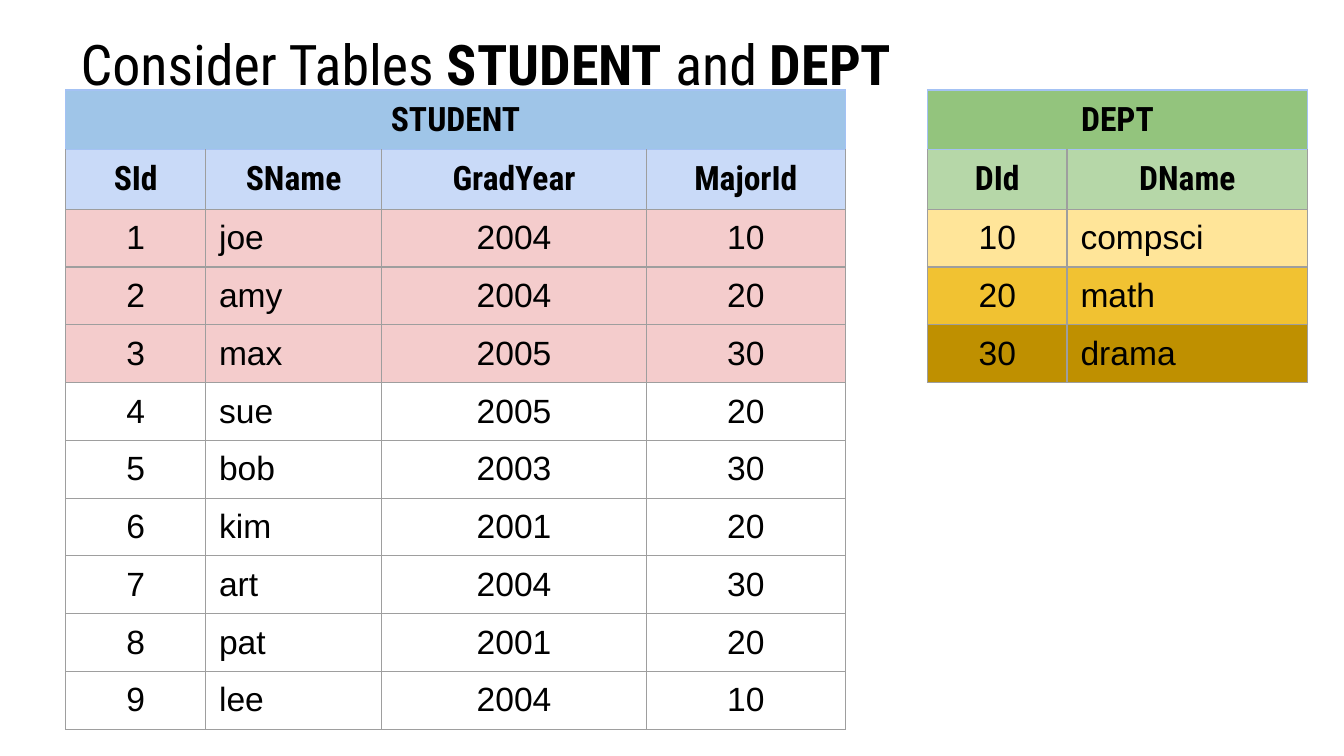
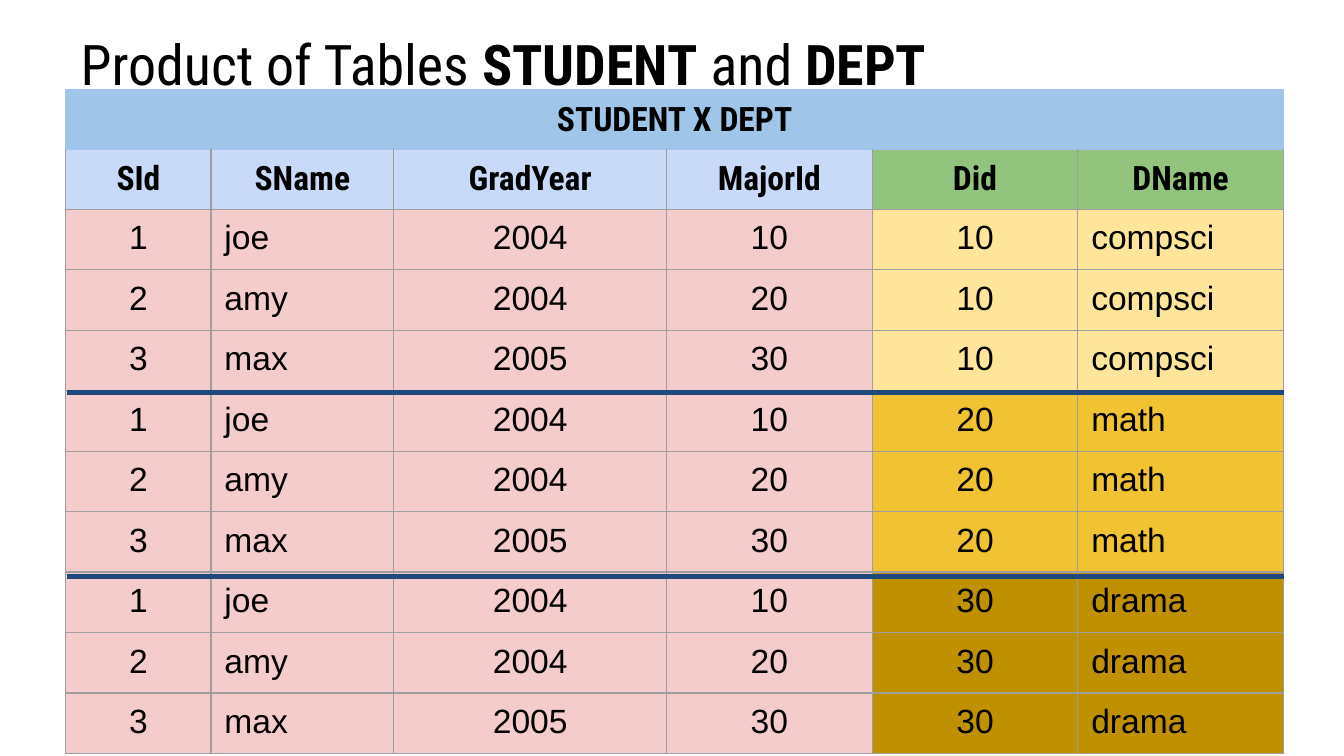
from lxml.etree import SubElement as Sub
from pptx import Presentation
from pptx.dml.color import RGBColor as RGB
from pptx.enum.shapes import MSO_CONNECTOR as Link
from pptx.enum.text import MSO_ANCHOR as Anchor, MSO_AUTO_SIZE as Fit, PP_ALIGN as Align
from pptx.oxml.ns import qn
from pptx.util import Inches, Pt

HEAD, BODY = "Roboto Condensed", "Arial"
BLACK, WHITE, GREY, NAVY = "000000", "FFFFFF", "9E9E9E", "1F497D"
BLUE, PALE, EDGE = "9FC5E8", "C9DAF8", "A4C2F4"
GREEN, MINT, PINK = "93C47D", "B6D7A8", "F4CCCC"
GOLDS = ["FFE599", "F1C232", "BF9000"]

FIELDS = ["SId", "SName", "GradYear", "MajorId"]
PEOPLE = [
    ("1", "joe", "2004", "10"),
    ("2", "amy", "2004", "20"),
    ("3", "max", "2005", "30"),
    ("4", "sue", "2005", "20"),
    ("5", "bob", "2003", "30"),
    ("6", "kim", "2001", "20"),
    ("7", "art", "2004", "30"),
    ("8", "pat", "2001", "20"),
    ("9", "lee", "2004", "10"),
]
DEPTS = [("10", "compsci"), ("20", "math"), ("30", "drama")]
FIRST = 3
LEFT, TOP, ROW = 0.49, 0.67, 0.31
PAD = Inches(0.15) // 2


def color(code):
    return RGB.from_string(code)


def add_run(para, text, size, face, bold=False):
    run = para.add_run()
    run.text = text
    font = run.font
    font.size, font.name, font.bold = Pt(size), face, bold
    font.color.rgb = color(BLACK)


def add_title(deck, lead):
    slide = deck.slides.add_slide(deck.slide_layouts[5])
    title = slide.shapes.title
    title.left, title.top = Inches(0.5), Inches(0.12)
    title.width, title.height = Inches(9.24), Inches(0.5)
    frame = title.text_frame
    frame.word_wrap, frame.auto_size = True, Fit.NONE
    frame.vertical_anchor = Anchor.TOP
    frame.margin_left = frame.margin_right = Inches(0.1)
    frame.margin_top = frame.margin_bottom = Inches(0.1)
    para = frame.paragraphs[0]
    para.alignment = Align.LEFT
    for text, bold in [(lead, False), ("STUDENT", True), (" and ", False), ("DEPT", True)]:
        add_run(para, text, 30, HEAD, bold)
    return slide


def add_edges(cell, side, top):
    props = cell._tc.get_or_add_tcPr()
    for tag, code in [("lnL", side), ("lnR", side), ("lnT", top), ("lnB", side)]:
        line = Sub(props, qn(f"a:{tag}"), w=str(Pt(0.75)))
        fill = Sub(line, qn("a:solidFill"))
        Sub(fill, qn("a:srgbClr"), val=code)


def style_cell(cell, tint, side, top):
    cell.margin_left = cell.margin_right = Inches(0.1)
    cell.margin_top = cell.margin_bottom = PAD
    add_edges(cell, side, top)
    cell.fill.solid()
    cell.fill.fore_color.rgb = color(tint)


def write_cell(cell, text, face, bold, align):
    para = cell.text_frame.paragraphs[0]
    para.alignment = align
    add_run(para, text, 18, face, bold)


def paint(words, tint):
    return [(word, tint) for word in words]


def add_grid(slide, left, widths, name, tint, heads, rows, height=ROW):
    lines = [heads] + rows
    table = slide.shapes.add_table(
        len(lines) + 1, len(widths), Inches(left), Inches(TOP),
        Inches(sum(widths)), Inches(2 * ROW + height * len(rows))).table
    table.first_row = table.horz_banding = False
    for col, width in zip(table.columns, widths):
        col.width = Inches(width)
    for num, row in enumerate(table.rows):
        row.height = Inches(ROW if num < 2 else height)
    for col in range(len(widths)):
        style_cell(table.cell(0, col), tint, EDGE, EDGE)
    table.cell(0, 0).merge(table.cell(0, len(widths) - 1))
    write_cell(table.cell(0, 0), name, HEAD, True, Align.CENTER)
    for num, line in enumerate(lines, 1):
        head = num == 1
        for col, (text, shade) in enumerate(line):
            cell = table.cell(num, col)
            style_cell(cell, shade, GREY, EDGE if head else GREY)
            align = Align.CENTER if head or text.isdigit() else Align.LEFT
            write_cell(cell, text, HEAD if head else BODY, head, align)


def add_rule(slide, y):
    rule = slide.shapes.add_connector(
        Link.STRAIGHT, Inches(0.5), Inches(y), Inches(9.55), Inches(y))
    rule.line.color.rgb = color(NAVY)
    rule.line.width = Pt(3)
    Sub(rule._element.spPr, qn("a:effectLst"))


def show_tables(deck):
    slide = add_title(deck, "Consider Tables ")
    people = [paint(row, PINK if num < FIRST else WHITE) for num, row in enumerate(PEOPLE)]
    add_grid(slide, LEFT, [1.04, 1.31, 1.97, 1.48], "STUDENT", BLUE,
             paint(FIELDS, PALE), people)
    depts = [paint(row, gold) for row, gold in zip(DEPTS, GOLDS)]
    add_grid(slide, 6.9, [1.04, 1.79], "DEPT", GREEN,
             paint(["DId", "DName"], MINT), depts)


def show_product(deck):
    slide = add_title(deck, "Product of Tables ")
    pairs = [paint(row, PINK) + paint(dept, gold)
             for dept, gold in zip(DEPTS, GOLDS) for row in PEOPLE[:FIRST]]
    heads = paint(FIELDS, PALE) + paint(["Did", "DName"], GREEN)
    add_grid(slide, LEFT, [1.08, 1.36, 2.03, 1.53, 1.53, 1.53], "STUDENT X DEPT", BLUE,
             heads, pairs, 0.45)
    for y in (2.92, 4.29):
        add_rule(slide, y)


def main():
    deck = Presentation()
    deck.slide_width = Inches(10)
    deck.slide_height = deck.slide_width * 9 // 16
    show_tables(deck)
    show_product(deck)
    deck.save("out.pptx")


if __name__ == "__main__":
    main()
